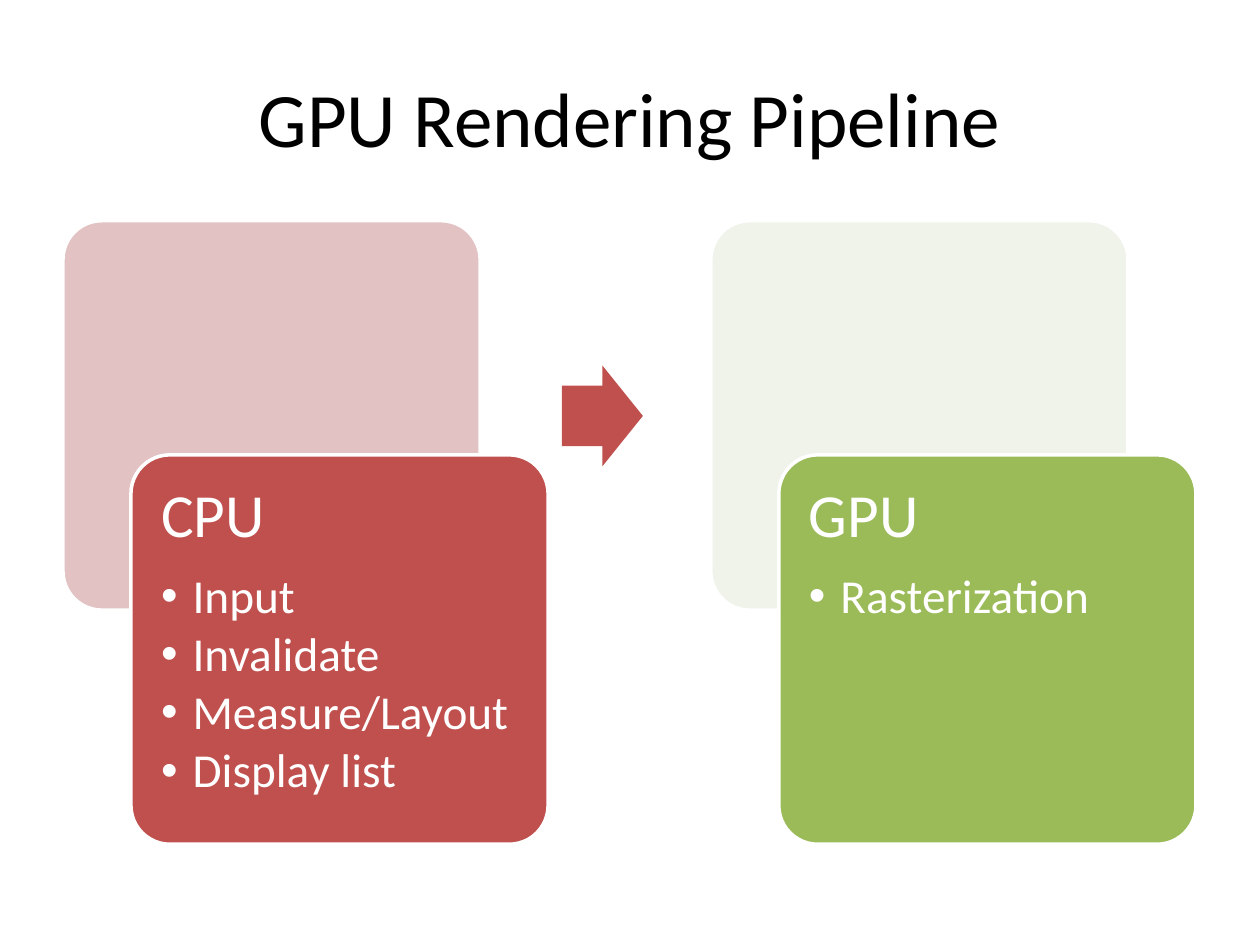
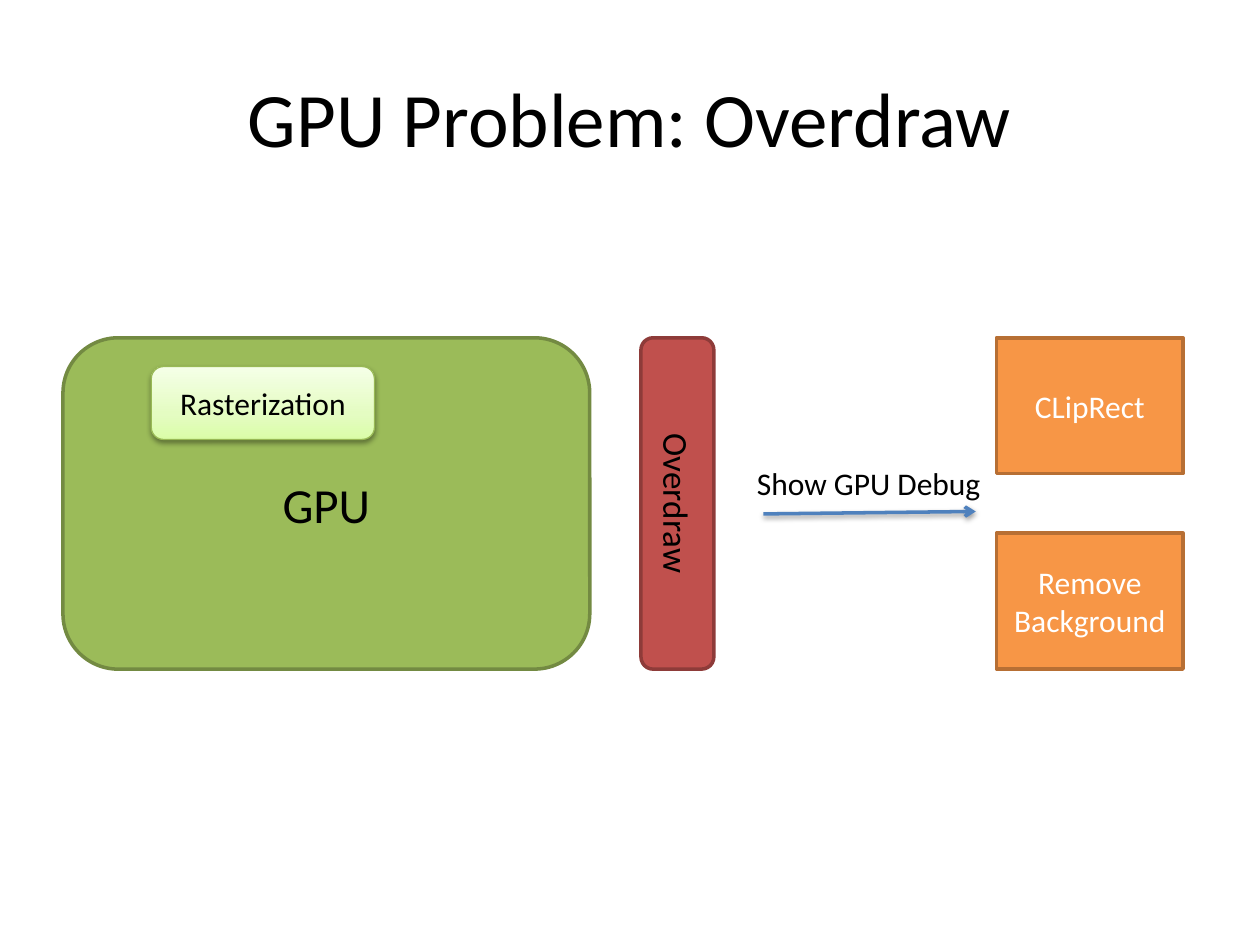
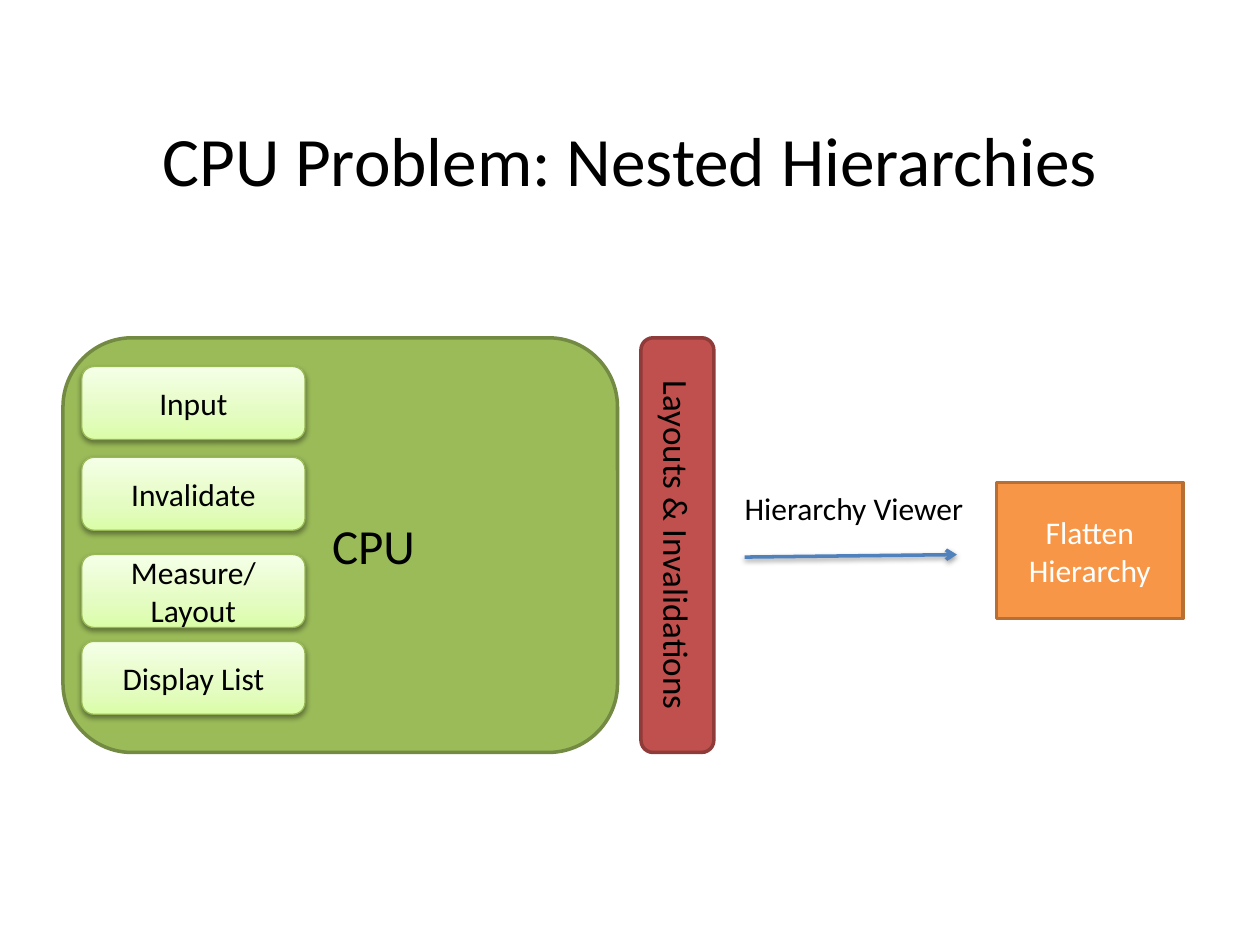
from collections import namedtuple

from lxml import etree
from pptx import Presentation
from pptx import util as u
from pptx.dml import color
from pptx.enum import shapes, text
from pptx.oxml import ns

Box = namedtuple("Box", "left top width height")

COLORS = {
    "ink": "000000", "paper": "FFFFFF",
    "red": "C0504D", "red_edge": "8E3B39", "red_pale": "E2C2C2",
    "green": "9BBB59", "green_edge": "738A42", "green_pale": "EFF3EA",
    "chip_edge": "98B955", "chip_low": "DAFDA7", "chip_mid": "E4FCC2", "chip_high": "F5FFE7",
    "orange": "F79646", "orange_edge": "B76F34", "blue": "4F81BD",
}
FONT = "Calibri"
ROUND = shapes.MSO_SHAPE.ROUNDED_RECTANGLE
TITLE = Box(1.27, 0.76, 22.86, 3.18)
PANEL_LEFT, PANEL_TOP = 1.27, 6.81
BAR_LEFT, BAR_WIDTH = 12.92, 1.47
CHIP_WIDTH, CHIP_HEIGHT = 4.5, 1.47
CARD_LEFT, CARD_WIDTH, CARD_HEIGHT = 20.09, 3.76, 2.74


def rgb(name):
    """Return the named palette colour."""
    return color.RGBColor.from_string(COLORS[name])


def emu(box):
    """Turn centimetres into slide lengths."""
    return [u.Cm(value) for value in box]


def apply(target, values):
    """Set every attribute listed in values."""
    for name, value in values.items():
        setattr(target, name, value)


def add_xml(parent, tag, **attributes):
    """Append a drawing element and return it."""
    child = etree.SubElement(parent, ns.qn(tag))
    for name, value in attributes.items():
        child.set(name, str(value))
    return child


def write(para, words, size, ink="ink", **layout):
    """Write one formatted span in a paragraph."""
    apply(para, layout)
    span = para.add_run()
    span.text = words
    apply(span.font, {"name": FONT, "size": u.Pt(size)})
    span.font.color.rgb = rgb(ink)


def write_centred(shape, words, size, ink="ink"):
    """Write words in the middle of a shape."""
    apply(shape.text_frame, {"word_wrap": True, "vertical_anchor": text.MSO_ANCHOR.MIDDLE})
    write(shape.text_frame.paragraphs[0], words, size, ink, alignment=text.PP_ALIGN.CENTER)


def add_block(page, kind, box, fill, edge=None, weight=2, adjust=()):
    """Add a flat preset shape."""
    shape = page.shapes.add_shape(kind, *emu(box))
    shape.shadow.inherit = False
    shape.fill.solid()
    shape.fill.fore_color.rgb = rgb(fill)
    if edge:
        shape.line.color.rgb = rgb(edge)
        shape.line.width = u.Pt(weight)
    else:
        shape.line.fill.background()
    for index, value in enumerate(adjust):
        shape.adjustments[index] = value
    return shape


def cast_shadow(effects):
    """Add the soft shadow below chips and arrows."""
    shadow = add_xml(effects, "a:outerShdw", blurRad=u.Pt(3.1), dist=u.Pt(1.6),
                     dir=5400000, rotWithShape=0)
    add_xml(add_xml(shadow, "a:srgbClr", val=COLORS["ink"]), "a:alpha", val=38000)


def add_title(page, words, size=44, drop=0):
    """Add the slide title, lowered by drop."""
    box = page.shapes.add_textbox(*emu(TITLE._replace(top=TITLE.top + drop)))
    write_centred(box, words, size)


def add_stage(page, box, name, tasks, fill, pale):
    """Add a pale card with a task card in front of it."""
    front = box._replace(left=box.left + 1.37, top=box.top + 4.72)
    add_block(page, ROUND, box, pale, "paper", adjust=[0.1])
    frame = add_block(page, ROUND, front, fill, "paper", adjust=[0.1]).text_frame
    margins = dict.fromkeys(("margin_left", "margin_top", "margin_right", "margin_bottom"), u.Cm(0.38))
    apply(frame, {"word_wrap": True, "vertical_anchor": text.MSO_ANCHOR.TOP, **margins})
    layout = {"alignment": text.PP_ALIGN.LEFT, "line_spacing": 0.9}
    write(frame.paragraphs[0], name, 35, "paper", space_after=u.Pt(12.25), **layout)
    for task in tasks:
        para = frame.add_paragraph()
        props = para._p.get_or_add_pPr()
        props.set("marL", str(u.Inches(0.25)))
        props.set("indent", str(-u.Inches(0.25)))
        add_xml(props, "a:buFont", typeface="Arial")
        add_xml(props, "a:buChar", char="•")
        write(para, task, 27, "paper", space_after=u.Pt(4), **layout)


def add_chip(page, box, words):
    """Add a glossy step chip."""
    chip = add_block(page, ROUND, box, "chip_mid", "chip_edge", 0.75)
    props = chip._element.spPr
    blend = etree.Element(ns.qn("a:gradFill"), rotWithShape="1")
    stops = add_xml(blend, "a:gsLst")
    for place, name in ((0, "chip_low"), (35, "chip_mid"), (100, "chip_high")):
        add_xml(add_xml(stops, "a:gs", pos=place * 1000), "a:srgbClr", val=COLORS[name])
    add_xml(blend, "a:lin", ang=16200000, scaled=0)
    props.replace(props.find(ns.qn("a:solidFill")), blend)
    cast_shadow(props.find(ns.qn("a:effectLst")))
    write_centred(chip, words, 18)


def add_panel(page, box, name, chips, chip_left, name_indent=0):
    """Add a processor panel with chips at the given heights."""
    panel = add_block(page, ROUND, box, "green", "green_edge")
    panel.text_frame.margin_left = u.Cm(0.25 + name_indent)
    write_centred(panel, name, 28)
    for words, drop in chips:
        add_chip(page, Box(box.left + chip_left, box.top + drop, CHIP_WIDTH, CHIP_HEIGHT), words)


def add_bar(page, box, words):
    """Add an upright bar whose text reads downwards."""
    shift = (box.height - box.width) / 2
    turned = Box(box.left - shift, box.top + shift, box.height, box.width)
    bar = add_block(page, ROUND, turned, "red", "red_edge")
    bar.rotation = 90
    write_centred(bar, words, 20)


def add_tool(page, box, words, arrow_left, arrow_drop):
    """Add a tool name with an arrow below it."""
    left, top = box.left + arrow_left, box.top + arrow_drop
    arrow = page.shapes.add_connector(
        shapes.MSO_CONNECTOR.STRAIGHT, *emu((left, top, left + 4.28, top - 0.05)))
    arrow.line.color.rgb = rgb("blue")
    arrow.line.width = u.Pt(2)
    add_xml(arrow.line._get_or_add_ln(), "a:tailEnd", type="arrow")
    cast_shadow(add_xml(arrow._element.spPr, "a:effectLst"))
    frame = page.shapes.add_textbox(*emu(box)).text_frame
    apply(frame, {"word_wrap": False, "auto_size": text.MSO_AUTO_SIZE.SHAPE_TO_FIT_TEXT})
    write(frame.paragraphs[0], words, 18)


def add_fix(page, top, words):
    """Add a remedy card in the right column."""
    box = Box(CARD_LEFT, top, CARD_WIDTH, CARD_HEIGHT)
    card = add_block(page, shapes.MSO_SHAPE.RECTANGLE, box, "orange", "orange_edge")
    write_centred(card, words, 18, "paper")


def build_pipeline(page):
    """Build the slide with both rendering stages."""
    add_title(page, "GPU Rendering Pipeline")
    cpu = Box(1.27, 4.45, 8.41, 7.85)
    add_stage(page, cpu, "CPU", ["Input", "Invalidate", "Measure/Layout", "Display list"],
              "red", "red_pale")
    add_block(page, shapes.MSO_SHAPE.RIGHT_ARROW, Box(11.33, 7.37, 1.63, 2.03), "red",
              adjust=[0.6, 0.5])
    add_stage(page, cpu._replace(left=14.33), "GPU", ["Rasterization"], "green", "green_pale")


def build_overdraw(page):
    """Build the slide on the GPU problem."""
    add_title(page, "GPU Problem: Overdraw")
    panel = Box(PANEL_LEFT, PANEL_TOP, 10.62, 6.68)
    add_panel(page, panel, "GPU", [("Rasterization", 0.58)], 1.78)
    add_bar(page, panel._replace(left=BAR_LEFT, width=BAR_WIDTH), "Overdraw")
    add_tool(page, Box(15.01, 9.22, 5.05, 1.02), "Show GPU Debug", 0.38, 1.14)
    add_fix(page, panel.top, "CLipRect")
    add_fix(page, panel.top + panel.height - CARD_HEIGHT, "Remove Background")


def build_hierarchies(page):
    """Build the slide on the CPU problem."""
    add_title(page, "CPU Problem: Nested Hierarchies", 39.6, 0.85)
    panel = Box(PANEL_LEFT, PANEL_TOP, 11.18, 8.36)
    chips = [("Input", 0.58), ("Invalidate", 2.41), ("Measure/Layout", 4.37), ("Display List", 6.12)]
    add_panel(page, panel, "CPU", chips, 0.38, 1.34)
    add_bar(page, panel._replace(left=BAR_LEFT, width=BAR_WIDTH), "Layouts & Invalidations")
    add_tool(page, Box(14.76, 9.73, 5, 1.02), "Hierarchy Viewer", 0.25, 1.5)
    add_fix(page, 9.73, "Flatten Hierarchy")


def main():
    """Build and save the deck."""
    deck = Presentation()
    apply(deck, {"slide_width": u.Cm(25.4), "slide_height": u.Cm(19.05)})
    for build in (build_pipeline, build_overdraw, build_hierarchies):
        build(deck.slides.add_slide(deck.slide_layouts[6]))
    deck.save("out.pptx")


if __name__ == "__main__":
    main()
